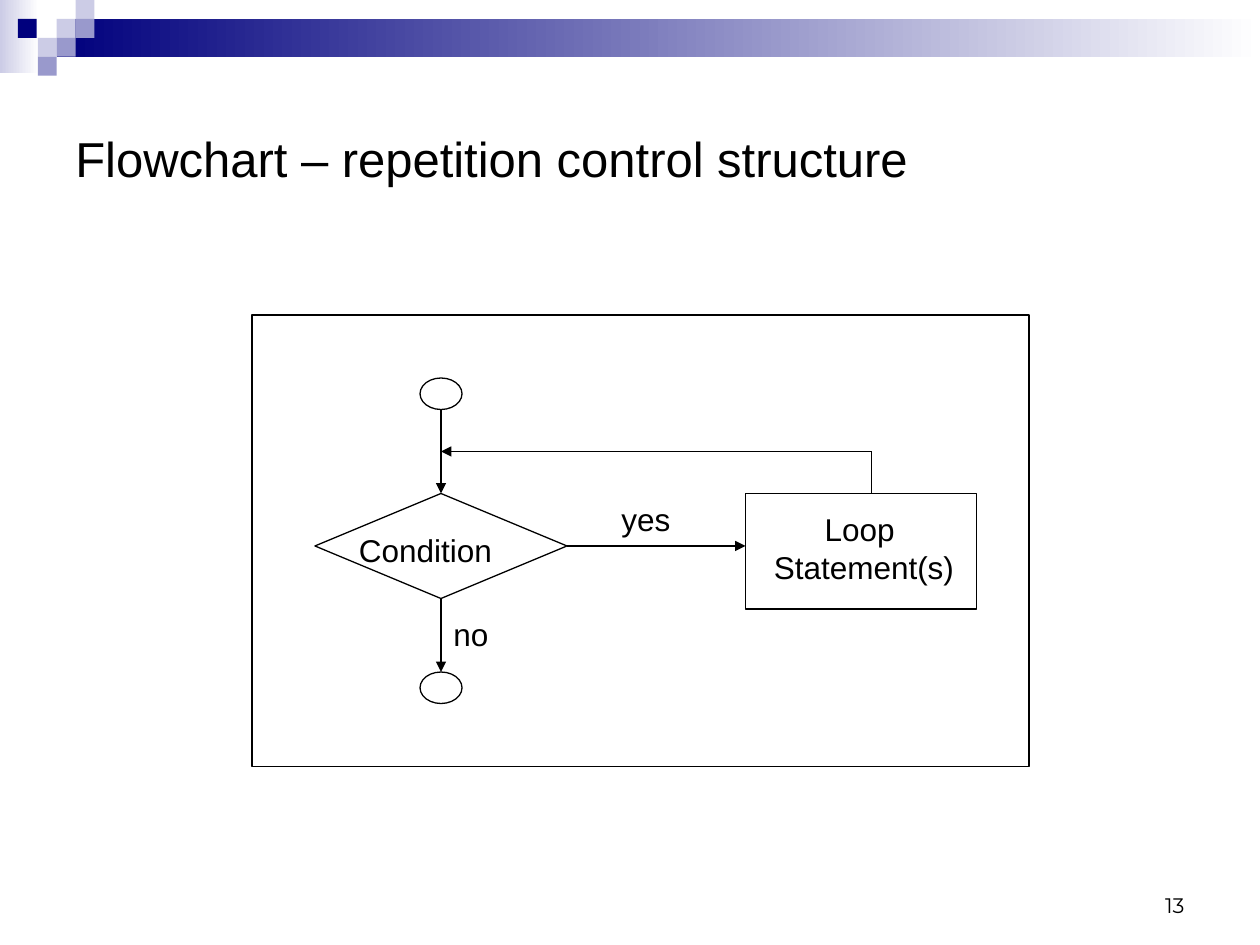
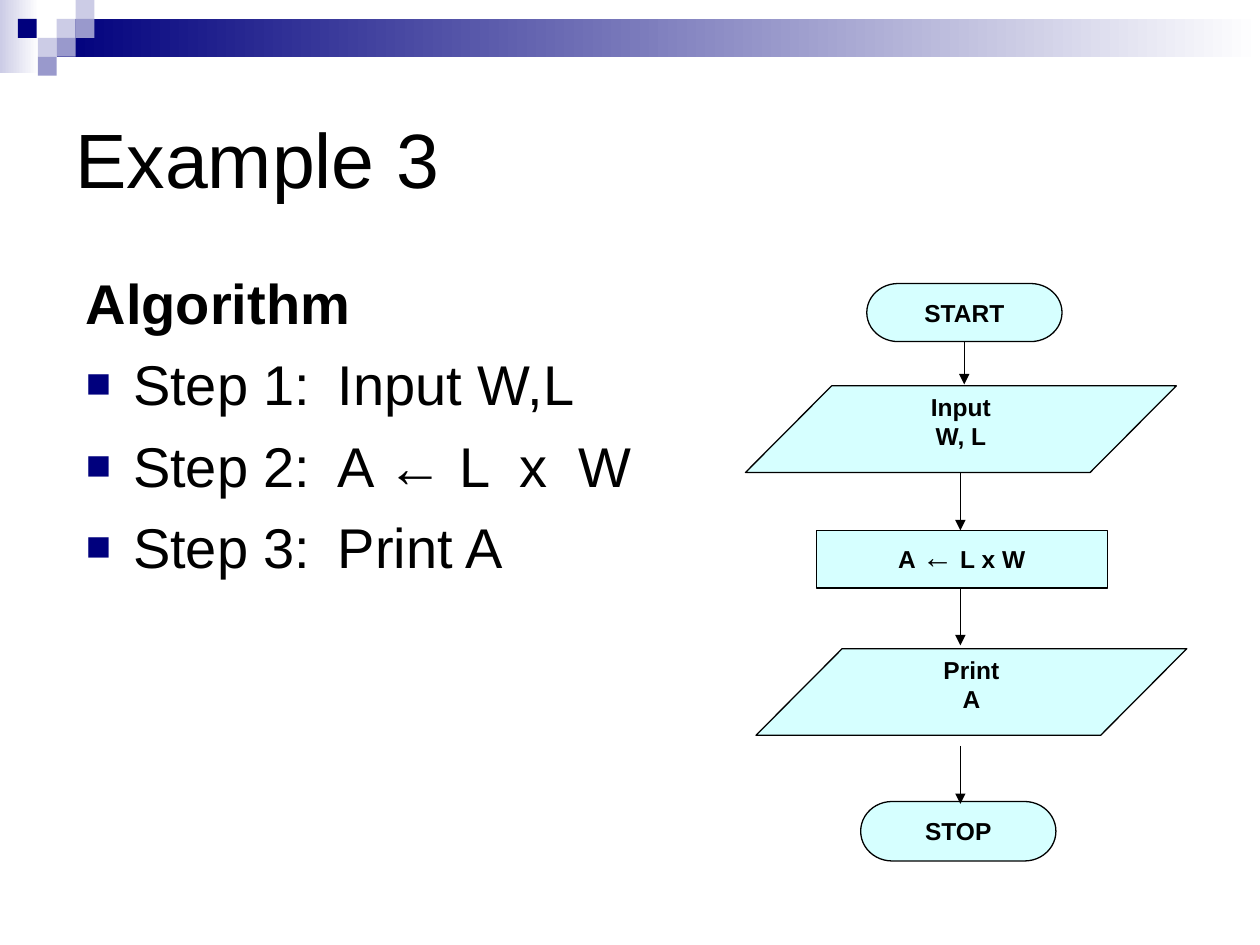
from dataclasses import dataclass

from lxml import etree
from pptx import Presentation
from pptx.dml.color import RGBColor
from pptx.enum import shapes, text
from pptx.oxml import ns
from pptx.util import Pt

SHAPE = shapes.MSO_SHAPE
ALIGN = text.PP_ALIGN
ANCHOR = text.MSO_ANCHOR


@dataclass(frozen=True)
class Theme:
    ink: str = "000000"
    navy: str = "00007D"
    mid: str = "9999CC"
    pale: str = "CCCCE6"
    white: str = "FFFFFF"
    step_fill: str = "CCFFFF"
    step_opacity: int = 80
    font: str = "Arial"
    number_font: str = "Montserrat"
    title: int = 44
    long_title: int = 28
    body: int = 32
    label: int = 18
    step: int = 14
    number: int = 12
    line: float = 0.75


THEME = Theme()


def rgb(value):
    return RGBColor.from_string(value)


def add_child(parent, tag, **attributes):
    return etree.SubElement(parent, ns.qn(tag), attributes)


# Text, lines and shapes
def write(frame, paragraphs, size=THEME.label, font=THEME.font, bold=False,
          align=ALIGN.LEFT, anchor=ANCHOR.TOP, before=0):
    """Each paragraph is a string or a list of (string, size, bold) runs."""
    frame.word_wrap = True
    frame.vertical_anchor = anchor
    for index, content in enumerate(paragraphs):
        paragraph = frame.paragraphs[0] if index == 0 else frame.add_paragraph()
        paragraph.alignment = align
        paragraph.space_before = Pt(before)
        runs = [(content, size, bold)] if isinstance(content, str) else content
        for words, run_size, run_bold in runs:
            run = paragraph.add_run()
            run.text = words
            run.font.name = font
            run.font.size = Pt(run_size)
            run.font.bold = run_bold
            run.font.color.rgb = rgb(THEME.ink)
    return frame


def add_text(slide, box, paragraphs, **style):
    holder = slide.shapes.add_textbox(*map(Pt, box))
    return write(holder.text_frame, paragraphs, **style)


def add_shape(slide, kind, box, fill=None, fade_to=None, outlined=False):
    shape = slide.shapes.add_shape(kind, *map(Pt, box))
    shape.shadow.inherit = False
    if fade_to:
        shape.fill.gradient()
        shape.fill.gradient_angle = 0
        for stop, colour in zip(shape.fill.gradient_stops, (fill, fade_to)):
            stop.color.rgb = rgb(colour)
    elif fill:
        shape.fill.solid()
        shape.fill.fore_color.rgb = rgb(fill)
    else:
        shape.fill.background()
    if outlined:
        shape.line.color.rgb = rgb(THEME.ink)
        shape.line.width = Pt(THEME.line)
    else:
        shape.line.fill.background()
    return shape


def add_line(slide, start, end, arrow=True):
    link = slide.shapes.add_connector(
        shapes.MSO_CONNECTOR.STRAIGHT, *map(Pt, (*start, *end)))
    link.line.color.rgb = rgb(THEME.ink)
    link.line.width = Pt(THEME.line)
    properties = link._element.spPr
    if arrow:
        add_child(properties.find(ns.qn("a:ln")), "a:tailEnd", type="triangle")
    add_child(properties, "a:effectLst")


# Shared slide parts
def draw_header(slide, left, top, width):
    cell = 10.8
    mosaic_left = left + 2 * cell
    band_left = left + 3 * cell
    add_shape(slide, SHAPE.RECTANGLE, (left, top, 22.3, 42),
              THEME.pale, fade_to=THEME.white)
    add_shape(slide, SHAPE.RECTANGLE,
              (band_left, top + cell, width - 3 * cell, 2 * cell),
              THEME.navy, fade_to=THEME.white)
    tiles = [(1, 1, THEME.pale), (2, 0, THEME.pale), (2, 1, THEME.mid),
             (0, 2, THEME.pale), (1, 2, THEME.mid), (0, 3, THEME.mid)]
    for column, row, colour in tiles:
        add_shape(slide, SHAPE.RECTANGLE,
                  (mosaic_left + column * cell, top + row * cell, cell, cell), colour)
    add_shape(slide, SHAPE.RECTANGLE, (left + 10.2, top + cell, cell, cell), THEME.navy)


def new_slide(deck, title, title_size):
    slide = deck.slides.add_slide(deck.slide_layouts[6])
    draw_header(slide, 0, 0, 720)
    add_text(slide, (36, 36, 648, 108), [title], size=title_size, anchor=ANCHOR.MIDDLE)
    return slide


# Repetition flowchart
def draw_loop(slide, left, top, width, height):
    def at(x, y, *size):
        return (left + x, top + y, *size)

    axis, loop_left, return_x = 108, 282, 354
    return_y, condition_top, yes_y = 78, 102, 132
    condition_bottom, exit_top = 162, 204
    add_shape(slide, SHAPE.RECTANGLE, (left, top, width, height), outlined=True)
    for circle_top in (36, exit_top):
        add_shape(slide, SHAPE.OVAL, at(axis - 12, circle_top, 24, 18), outlined=True)
    add_shape(slide, SHAPE.FLOWCHART_DECISION,
              at(axis - 72, condition_top, 144, 60), outlined=True)
    add_shape(slide, SHAPE.FLOWCHART_PROCESS,
              at(loop_left, condition_top, 132, 66), outlined=True)

    # Flow, with the return path above the loop statements
    add_line(slide, at(axis, 54), at(axis, condition_top))
    add_line(slide, at(axis + 72, yes_y), at(loop_left, yes_y))
    add_line(slide, at(return_x, condition_top), at(return_x, return_y), arrow=False)
    add_line(slide, at(return_x, return_y), at(axis, return_y))
    add_line(slide, at(axis, condition_bottom), at(axis, exit_top))

    # Labels
    add_text(slide, at(54, 119.8, 100, 29), ["Condition"])
    add_text(slide, at(loop_left, 108, 135.4, 50), ["Loop ", "Statement(s)"],
             align=ALIGN.CENTER)
    add_text(slide, at(204, condition_top, 54, 29), ["yes"])
    add_text(slide, at(axis, 168, 54, 29), ["no"])


# Algorithm list
def draw_algorithm(slide, left, top, width, height):
    steps = ["Step 1: \tInput W,L", "Step 2: \tA ← L  x  W", "Step 3: \tPrint A"]
    heading = [("Algorithm", THEME.body, True)]
    frame = add_text(slide, (left, top, width, height), [heading, *steps],
                     size=THEME.body, before=8)
    for index, paragraph in enumerate(frame.paragraphs):
        properties = paragraph._p.get_or_add_pPr()
        properties.set("marL", str(Pt(27)))
        properties.set("indent", str(Pt(-27)))
        if index == 0:
            add_child(properties, "a:buNone")
            continue
        colour = add_child(properties, "a:buClr")
        add_child(colour, "a:srgbClr", val=THEME.navy)
        add_child(properties, "a:buSzPct", val="75000")
        add_child(properties, "a:buFont", typeface=THEME.font)
        add_child(properties, "a:buChar", char="■")
        stops = add_child(properties, "a:tabLst")
        for inch in range(1, 9):
            add_child(stops, "a:tab", pos=str(Pt(72 * inch)), algn="l")


# Area flowchart
def draw_area_flow(slide, left, top):
    formula = [("A ", THEME.step, True), ("←", THEME.label, False),
               (" L x W", THEME.step, True)]
    terminal, data = SHAPE.FLOWCHART_TERMINATOR, SHAPE.FLOWCHART_DATA
    steps = [
        (terminal, (69.3, 0, 111.6, 33.2), ["START"]),
        (data, (0, 58.5, 246.2, 49.5), ["Input", "W, L"]),
        (SHAPE.FLOWCHART_PROCESS, (40.4, 141.1, 166.3, 33), [formula]),
        (data, (6, 208.7, 246.2, 49.5), ["Print", "A"]),
        (terminal, (65.8, 296, 111.6, 34), ["STOP"]),
    ]
    for kind, (x, y, width, height), lines in steps:
        step = add_shape(slide, kind, (left + x, top + y, width, height),
                         THEME.step_fill, outlined=True)
        colour = step._element.spPr.find(".//" + ns.qn("a:srgbClr"))
        add_child(colour, "a:alpha", val=str(THEME.step_opacity * 1000))
        write(step.text_frame, lines, size=THEME.step, bold=True, align=ALIGN.CENTER)
    arrows = [(125, 33.2, 57.6), (122.8, 108, 141.1),
              (122.8, 173.7, 206.8), (122.8, 264.3, 297.4)]
    for x, start, end in arrows:
        add_line(slide, (left + x, top + start), (left + x, top + end))


def main():
    deck = Presentation()
    deck.slide_width, deck.slide_height = Pt(720), Pt(540)

    repetition = new_slide(deck, "Flowchart – repetition control structure",
                           THEME.long_title)
    draw_loop(repetition, 144, 180, 444, 258)
    add_text(repetition, (516, 492, 168, 36), ["13"], size=THEME.number,
             font=THEME.number_font, align=ALIGN.RIGHT, anchor=ANCHOR.BOTTOM)

    example = new_slide(deck, "Example 3", THEME.title)
    draw_algorithm(example, 42, 150, 648, 306)
    draw_area_flow(example, 426, 162)

    deck.save("out.pptx")


if __name__ == "__main__":
    main()
